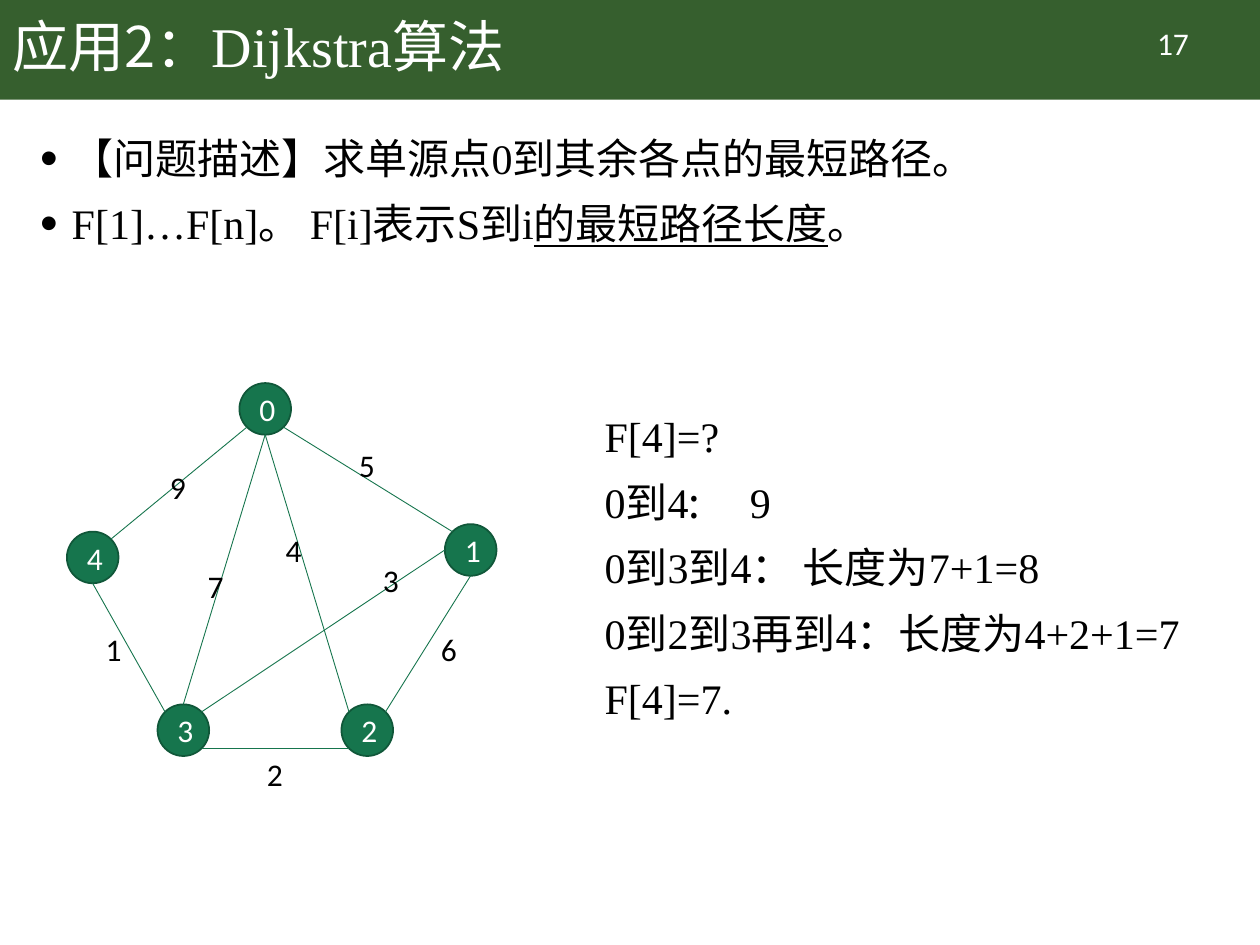
"""Build a slide on Dijkstra's algorithm with a weighted graph."""
from math import cos, pi, sin

from lxml.etree import SubElement
from pptx import Presentation
from pptx.dml.color import RGBColor
from pptx.enum.shapes import MSO_CONNECTOR, MSO_SHAPE
from pptx.enum.text import MSO_ANCHOR, MSO_AUTO_SIZE, PP_ALIGN
from pptx.oxml.ns import qn
from pptx.util import Pt

COLORS = {"bar": "365F2E", "node": "16754D", "rim": "105739",
          "ink": "000000", "white": "FFFFFF"}
SANS, SERIF, HAN = "Calibri", "Times New Roman", "Noto Sans CJK SC"
SIZE = 29.5

NODES = {"0": (136.8, 218.9), "4": (38.2, 303.8), "3": (90, 402.5),
         "2": (195.1, 402.5), "1": (254.2, 299.5)}
EDGES = [("0", 3, "4", 7), ("3", 1, "4", 4), ("1", 1, "0", 5),
         ("2", 3, "3", 5), ("1", 4, "2", 7), ("2", 1, "0", 4),
         ("3", 0, "0", 4), ("1", 2, "3", 7)]
COSTS = [("9", 90, 264.2), ("5", 198, 251.3), ("4", 156.2, 300.2),
         ("7", 111.6, 320.4), ("1", 53.3, 356.4), ("2", 145.4, 427.7),
         ("3", 211.7, 316.8), ("6", 244.8, 356.4)]

TITLE = [("应用2：", HAN), ("Dijkstra", SERIF), ("算法", HAN)]
POINTS = [
    [("【问题描述】求单源点", HAN), ("0", SERIF), ("到其余各点的最短路径。", HAN)],
    [("F[1]…F[n]。 F[i]", SERIF), ("表示", HAN), ("S到i", SERIF),
     ("的最短路径长度", HAN, True), ("。", SERIF)],
]
STEPS = [
    [("F[4]=?", SERIF)],
    [("0", SERIF), ("到", HAN), ("4", SERIF), (":\t", HAN), ("9", SERIF)],
    [("0", SERIF), ("到", HAN), ("3", SERIF), ("到", HAN), ("4", SERIF),
     ("： 长度为", HAN), ("7+1=8", SERIF)],
    [("0", SERIF), ("到", HAN), ("2", SERIF), ("到", HAN), ("3", SERIF),
     ("再到", HAN), ("4", SERIF), ("：长度为", HAN), ("4+2+1=7", SERIF)],
    [("F[4]=7.", SERIF)],
]


def color(name):
    """Return the named colour."""
    return RGBColor.from_string(COLORS[name])


def write(frame, lines, size=24, ink="ink", align=PP_ALIGN.LEFT, gap=1.0,
          bullet=False, tab=None):
    """Fill a text frame with lines, each a list of (text, font, underline)."""
    for num, parts in enumerate(lines):
        para = frame.add_paragraph() if num else frame.paragraphs[0]
        para.alignment, para.line_spacing = align, gap
        para.space_before = para.space_after = Pt(0)
        props = para._p.get_or_add_pPr()
        if bullet:
            props.set("marL", str(Pt(18)))
            props.set("indent", str(-Pt(28)))
            tint = SubElement(props, qn("a:buClr"))
            SubElement(tint, qn("a:srgbClr"), val=COLORS[ink])
            SubElement(props, qn("a:buSzPct"), val="120000")
            SubElement(props, qn("a:buFont"), typeface="Arial")
            SubElement(props, qn("a:buChar"), char="•")
        if tab:
            stops = SubElement(props, qn("a:tabLst"))
            SubElement(stops, qn("a:tab"), pos=str(Pt(tab)), algn="l")
        for text, face, *under in parts:
            run = para.add_run()
            run.text = text
            font = run.font
            font.name, font.size = face, Pt(size)
            font.color.rgb = color(ink)
            if under:
                font.underline = True
            SubElement(run._r.get_or_add_rPr(), qn("a:ea"), typeface=HAN)


class Deck:
    """Hold the style and the current slide."""

    def __init__(self):
        """Start a deck with one title and body slide."""
        self.deck = Presentation()
        self.deck.slide_width, self.deck.slide_height = Pt(720), Pt(540)
        self.slide = self.deck.slides.add_slide(self.deck.slide_layouts[1])
        self.shapes = self.slide.shapes

    def shape(self, kind, x, y, w, h, fill, rim=None):
        """Add a filled preset shape."""
        item = self.shapes.add_shape(kind, Pt(x), Pt(y), Pt(w), Pt(h))
        item.shadow.inherit = False
        item.fill.solid()
        item.fill.fore_color.rgb = color(fill)
        if rim:
            item.line.color.rgb = color(rim)
            item.line.width = Pt(1)
        else:
            item.line.fill.background()
        return item

    def bar(self, height):
        """Add the header bar behind everything else."""
        item = self.shape(MSO_SHAPE.RECTANGLE, 0, 0, 720, height, "bar")
        self.shapes._spTree.insert(2, item._element)

    def holder(self, item, x, y, w, h, lines, anchor, **style):
        """Place and fill a placeholder."""
        item.left, item.top, item.width, item.height = Pt(x), Pt(y), Pt(w), Pt(h)
        frame = item.text_frame
        frame.auto_size = MSO_AUTO_SIZE.NONE
        frame.vertical_anchor = anchor
        write(frame, lines, **style)

    def label(self, x, y, w, h, lines, wrap=True, **style):
        """Add a text box."""
        box = self.shapes.add_textbox(Pt(x), Pt(y), Pt(w), Pt(h))
        box.text_frame.word_wrap = wrap
        write(box.text_frame, lines, **style)

    def node(self, name):
        """Add a graph node."""
        item = self.shape(MSO_SHAPE.OVAL, *NODES[name], SIZE, SIZE, "node", "rim")
        item.text_frame.vertical_anchor = MSO_ANCHOR.MIDDLE
        write(item.text_frame, [[(name, SANS)]], size=18, ink="white",
              align=PP_ALIGN.CENTER)

    def site(self, name, index):
        """Return a point on a node's rim, counted leftwards from the top."""
        x, y = NODES[name]
        angle, half = pi / 2 + index * pi / 4, SIZE / 2
        return Pt(x + half + half * cos(angle)), Pt(y + half - half * sin(angle))

    def edge(self, start, out, end, into):
        """Join two nodes by a thin line."""
        line = self.shapes.add_connector(
            MSO_CONNECTOR.STRAIGHT, *self.site(start, out), *self.site(end, into))
        line.line.color.rgb = color("node")
        line.line.width = Pt(0.5)
        SubElement(line._element.spPr, qn("a:effectLst"))


def main():
    """Build and save the slide."""
    deck = Deck()
    deck.bar(56.9)
    deck.holder(deck.shapes.title, 0, 0, 620.6, 56.9, [TITLE],
                MSO_ANCHOR.MIDDLE, size=32, ink="white", gap=0.9)
    deck.holder(deck.slide.placeholders[1], 15.8, 63.4, 689, 465.8, POINTS,
                MSO_ANCHOR.TOP, gap=1.3, bullet=True)
    for name in NODES:
        deck.node(name)
    for edge in EDGES:
        deck.edge(*edge)
    for cost, x, y in COSTS:
        deck.label(x, y, 23.8, 28.8, [[(cost, SANS)]], wrap=False, size=18)
    deck.label(338.4, 222.5, 349.9, 192.2, STEPS, gap=1.3, tab=83)
    deck.label(627.1, 10.1, 86.4, 28.8, [[("17", SANS)]], size=18,
               ink="white", align=PP_ALIGN.CENTER)
    deck.deck.save("out.pptx")


if __name__ == "__main__":
    main()
